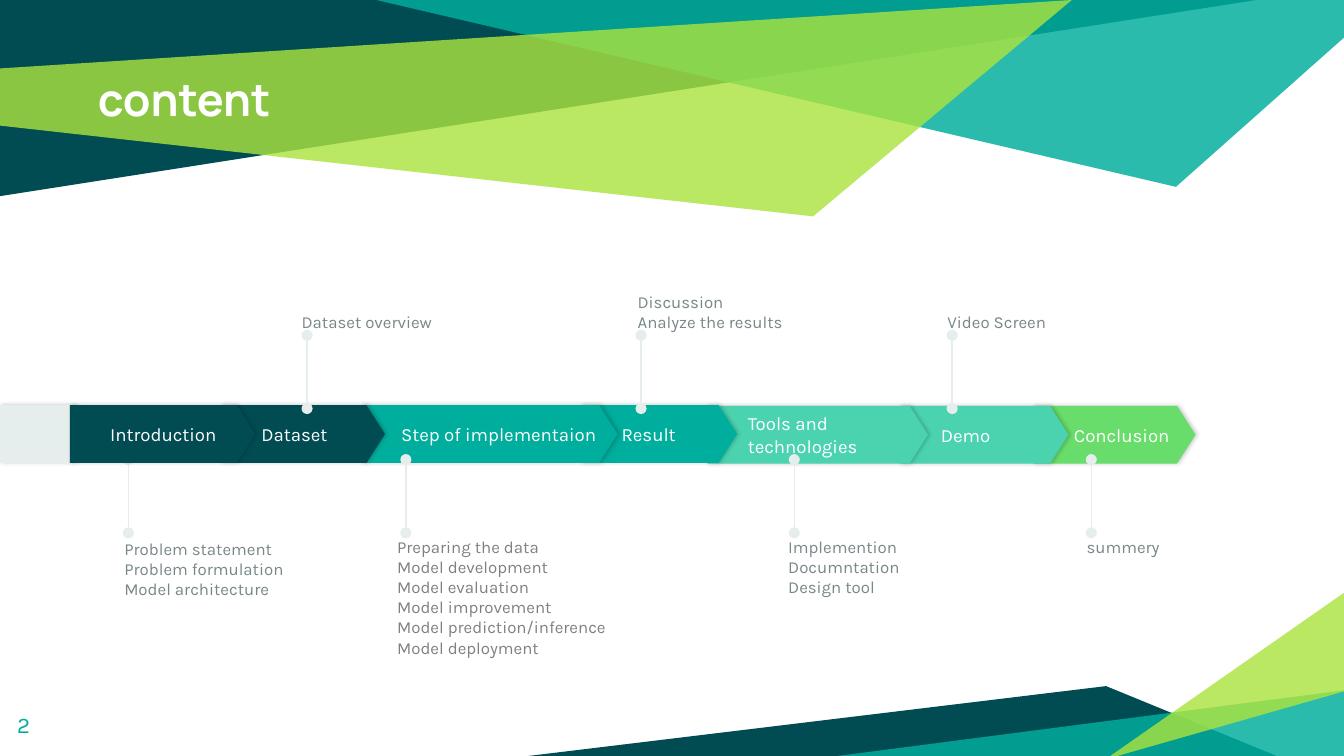
from lxml.etree import SubElement
from pptx import Presentation
from pptx.dml.color import RGBColor
from pptx.enum.shapes import MSO_CONNECTOR, MSO_SHAPE
from pptx.enum.text import MSO_ANCHOR, PP_ALIGN
from pptx.oxml.ns import qn
from pptx.util import Pt

PX = 4572
DARK = RGBColor(0x00, 0x4C, 0x52)
TEAL = RGBColor(0x00, 0xAE, 0x9D)
MINT = RGBColor(0x4B, 0xD3, 0xB0)
GREEN = RGBColor(0x68, 0xDD, 0x6B)
LIME = RGBColor(0xAB, 0xE3, 0x3F)
PALE = RGBColor(0xE6, 0xEE, 0xED)
SLATE = RGBColor(0x78, 0x87, 0x88)
GRAY = RGBColor(0x80, 0x80, 0x80)
WHITE = RGBColor(0xFF, 0xFF, 0xFF)

prs = Presentation()
prs.slide_width, prs.slide_height = 2000 * PX, 1125 * PX
s = prs.slides.add_slide(prs.slide_layouts[6])


def write_text(sp, text, size=9, color=SLATE, font="Karla", bold=False,
               anchor=MSO_ANCHOR.TOP, inset=0, left=0):
    tf = sp.text_frame
    tf.word_wrap = True
    tf.vertical_anchor = anchor
    tf.margin_left = (left or inset) * PX
    tf.margin_top = tf.margin_right = tf.margin_bottom = inset * PX
    for i, line in enumerate(text.split("\n")):
        p = tf.paragraphs[0] if i == 0 else tf.add_paragraph()
        p.alignment = PP_ALIGN.LEFT
        r = p.add_run()
        r.text = line
        r.font.size, r.font.name, r.font.bold = Pt(size), font, bold
        r.font.color.rgb = color


def set_alpha(color_parent, percent):
    SubElement(color_parent[0], qn("a:alpha"), val=str(percent * 1000))


ribbons = [
    (DARK, 100, [(0, 0), (0, 292), (1870, 0)]),
    (TEAL, 83, [(560, 0), (1750, 278), (2000, 56), (2000, 0)]),
    (LIME, 81, [(-2, 102), (0, 187), (1210, 322), (1595, 0)]),
    (DARK, 100, [(786, 1125), (1900, 1125), (1646, 1021)]),
    (TEAL, 83, [(2003, 1027), (2003, 1130), (1208, 1130)]),
    (LIME, 81, [(2003, 1028), (2003, 880), (1645, 1130)]),
]
for color, alpha, points in ribbons:
    fb = s.shapes.build_freeform(*points[0], scale=PX)
    fb.add_line_segments(points[1:], close=True)
    sp = fb.convert_to_shape()
    sp.shadow.inherit = False
    sp.line.fill.background()
    sp.fill.solid()
    sp.fill.fore_color.rgb = color
    if alpha < 100:
        set_alpha(sp._element.spPr.find(qn("a:solidFill")), alpha)

UP, DOWN = (608, 499), (793, 684)
layers = [
    ([("Conclusion", 1538, 604, 241, GREEN),
      ("Demo", 1340, 604, 250, MINT),
      ("Tools and technologies", 1053, 604, 328, MINT),
      ("", 0, 603, 140, PALE)],
     [(1417, UP), (191, DOWN), (1182, DOWN), (1624, DOWN)]),
    ([("Result", 865, 603, 232, TEAL),
      ("Step of implementaion", 537, 603, 382, TEAL),
      ("Dataset", 329, 603, 244, DARK),
      ("Introduction", 104, 603, 276, DARK)],
     [(954, UP), (604, DOWN), (457, UP)]),
]
for stages, stems in layers:
    for name, x, y, w, color in stages:
        sp = s.shapes.add_shape(MSO_SHAPE.PENTAGON, x * PX, y * PX, w * PX, 86 * PX)
        sp.adjustments[0] = 0.32
        sp.fill.solid()
        sp.fill.fore_color.rgb = color
        sp.line.fill.background()
        sp.shadow.inherit = False
        effects = sp._element.spPr.find(qn("a:effectLst"))
        shadow = SubElement(effects, qn("a:outerShdw"), blurRad=str(Pt(2.2)),
                            dist=str(Pt(0.8)), dir="0", rotWithShape="0")
        SubElement(shadow, qn("a:srgbClr"), val="000000")
        set_alpha(shadow, 20)
        if name:
            write_text(sp, name, size=10, color=WHITE,
                       anchor=MSO_ANCHOR.MIDDLE, left=60)
    for x, (start, end) in stems:
        c = s.shapes.add_connector(MSO_CONNECTOR.STRAIGHT,
                                   x * PX, start * PX, x * PX, end * PX)
        c.line.color.rgb = PALE
        c.line.width = Pt(0.75)
        ln = c.line._get_or_add_ln()
        for tag in ("a:headEnd", "a:tailEnd"):
            SubElement(ln, qn(tag), type="oval")
        SubElement(c._element.spPr, qn("a:effectLst"))

above = dict(anchor=MSO_ANCHOR.BOTTOM)
labels = [
    ("content", 126, 87, 1680, 188,
     dict(size=24, color=WHITE, font="Manrope", bold=True, inset=20)),
    ("2", 6, 1039, 120, 86, dict(size=12, color=TEAL, inset=20)),
    ("Dataset overview", 449, 378, 274, 116, above),
    ("Discussion\nAnalyze the results", 949, 378, 274, 116, above),
    ("Video Screen", 1410, 378, 274, 116, above),
    ("Problem statement\nProblem formulation\nModel architecture",
     185, 801, 274, 116, {}),
    ("Preparing the data\nModel development\nModel evaluation\n"
     "Model improvement\nModel prediction/inference\nModel deployment",
     591, 798, 328, 116, dict(color=GRAY)),
    ("Implemention\nDocumntation\nDesign tool", 1173, 798, 274, 116, {}),
    ("summery", 1617, 798, 274, 116, {}),
]
for text, x, y, w, h, style in labels:
    sp = s.shapes.add_textbox(x * PX, y * PX, w * PX, h * PX)
    write_text(sp, text, **style)

prs.save("out.pptx")
